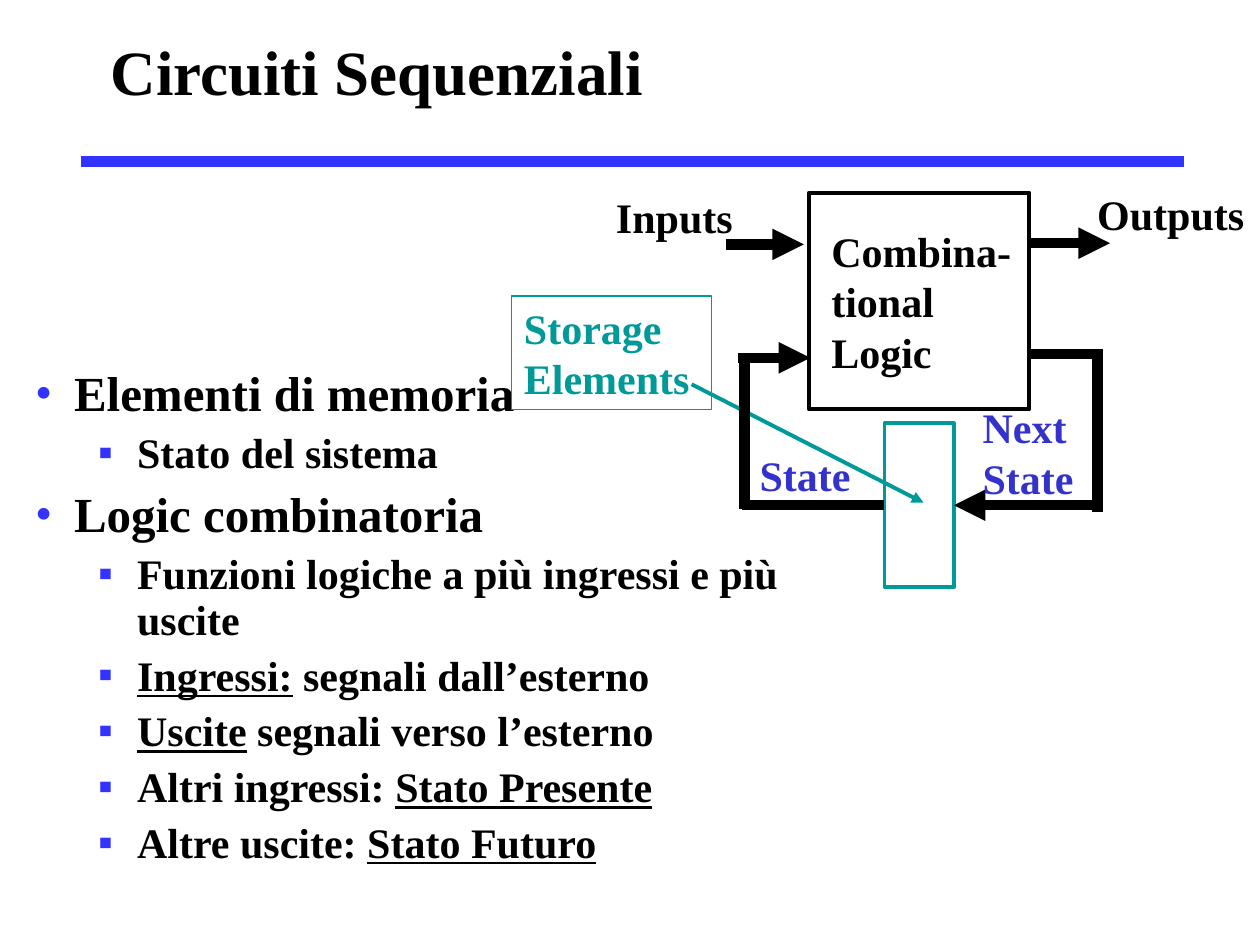
from dataclasses import dataclass
from typing import Optional

from lxml import etree
from pptx import Presentation
from pptx.dml.color import RGBColor
from pptx.enum.shapes import MSO_CONNECTOR, MSO_SHAPE
from pptx.enum.text import MSO_ANCHOR
from pptx.oxml.ns import qn
from pptx.util import Inches, Pt

STRAIGHT = MSO_CONNECTOR.STRAIGHT
RECTANGLE = MSO_SHAPE.RECTANGLE
MIDDLE = MSO_ANCHOR.MIDDLE
LEFT_SIDE, RIGHT_SIDE = 1, 3
FONT = "Times New Roman"
BLACK, BLUE, TEAL, INDIGO = "000000", "3333FF", "009999", "3333CC"
SIGNAL_WIDTH = 6


@dataclass
class Label:
    box: tuple[float, float, float, float]
    lines: list[str]
    color: str = BLACK
    size: float = 24


@dataclass
class Wire:
    start: tuple[float, float]
    end: tuple[float, float]
    arrow: bool = False
    color: str = BLACK
    width: float = SIGNAL_WIDTH


@dataclass
class Level:
    size: float
    indent: float
    space: float
    bullet: str


LEVELS = [Level(28, 0.81, 7, "•"), Level(24, 1.31, 6, "▪")]
HANGING = 0.31

BULLETS = [
    (0, [("Elementi di memoria", False)]),
    (1, [("Stato del sistema", False)]),
    (0, [("Logic combinatoria", False)]),
    (1, [("Funzioni logiche a più ingressi e più uscite", False)]),
    (1, [("Ingressi:", True), (" segnali dall’esterno", False)]),
    (1, [("Uscite", True), (" segnali verso l’esterno", False)]),
    (1, [("Altri ingressi: ", False), ("Stato Presente", True)]),
    (1, [("Altre uscite: ", False), ("Stato Futuro", True)]),
]

TITLE = Label((0.78, 0, 8.5, 1.12), ["Circuiti Sequenziali"], size=36)
LOGIC = Label((6.5, 1.74, 1.63, 1.3), ["Combina-tional", "Logic"])
STORAGE = Label((4.06, 2.35, 1.59, 0.9), ["Storage Elements"], TEAL)
SIGNAL_LABELS = [
    Label((4.79, 1.47, 1.15, 0.5), ["Inputs"]),
    Label((8.61, 1.45, 1.39, 0.5), ["Outputs"]),
    Label((5.93, 3.52, 0.94, 0.5), ["State"], INDIGO),
    Label((7.7, 3.14, 1.11, 0.9), ["Next", "State"], INDIGO),
]

TITLE_RULE = Wire((0.64, 1.28), (9.4, 1.28), color=BLUE)
STORAGE_POINTER = Wire((5.49, 3.05), (7.33, 3.99), True, TEAL, 2.25)
SIGNAL_WIRES = [
    Wire((5.76, 1.94), (6.38, 1.94), True),
    Wire((8.18, 1.93), (8.81, 1.93), True),
    Wire((5.86, 2.84), (6.43, 2.84), True),
    Wire((5.91, 2.81), (5.91, 4.04), False),
    Wire((8.18, 2.81), (8.75, 2.81), False),
    Wire((8.71, 2.82), (8.71, 4.06), False),
]
STATE_WIRE = Wire((5.89, 4.01), (7.02, 4.01))
NEXT_STATE_WIRE = Wire((8.67, 4.01), (7.57, 4.01), True)


def rgb(color: str) -> RGBColor:
    """Turn a hex string into a colour."""
    return RGBColor.from_string(color)


def style_font(font, size: float, color: str) -> None:
    """Apply the slide's bold serif face."""
    font.name, font.size, font.bold = FONT, Pt(size), True
    font.color.rgb = rgb(color)


def add_wire(slide, wire: Wire):
    """Draw a straight line, with an arrowhead at its end if asked."""
    points = [Inches(value) for value in (*wire.start, *wire.end)]
    connector = slide.shapes.add_connector(STRAIGHT, *points)
    connector.line.width = Pt(wire.width)
    connector.line.color.rgb = rgb(wire.color)
    if wire.arrow:
        line = connector.line._get_or_add_ln()
        etree.SubElement(line, qn("a:tailEnd"), type="triangle")
    etree.SubElement(connector._element.spPr, qn("a:effectLst"))
    return connector


def add_outline(slide, box: tuple[float, float, float, float], color: str, width: float):
    """Draw an unfilled rectangle."""
    shape = slide.shapes.add_shape(RECTANGLE, *map(Inches, box))
    shape.shadow.inherit = False
    shape.fill.background()
    shape.line.color.rgb = rgb(color)
    shape.line.width = Pt(width)
    return shape


def add_label(slide, label: Label, anchor: Optional[MSO_ANCHOR] = None) -> None:
    """Write the lines of a label in a text box."""
    frame = slide.shapes.add_textbox(*map(Inches, label.box)).text_frame
    frame.word_wrap = True
    if anchor is not None:
        frame.vertical_anchor = anchor
    frame.text = "\n".join(label.lines)
    for paragraph in frame.paragraphs:
        style_font(paragraph.font, label.size, label.color)


def add_bullets(slide) -> None:
    """Write the two-level bullet list."""
    frame = slide.shapes.add_textbox(
        Inches(-0.32), Inches(2.88), Inches(6.69), Inches(4.22)
    ).text_frame
    frame.word_wrap = True
    for index, (depth, pieces) in enumerate(BULLETS):
        level = LEVELS[depth]
        paragraph = frame.add_paragraph() if index else frame.paragraphs[0]
        paragraph.level = depth
        paragraph.line_spacing = 0.9
        if index:
            paragraph.space_before = Pt(level.space)
        properties = paragraph._p.get_or_add_pPr()
        properties.set("marL", str(Inches(level.indent)))
        properties.set("indent", str(-Inches(HANGING)))
        bullet_color = etree.SubElement(properties, qn("a:buClr"))
        etree.SubElement(bullet_color, qn("a:srgbClr"), val=BLUE)
        etree.SubElement(properties, qn("a:buFont"), typeface=FONT)
        etree.SubElement(properties, qn("a:buChar"), char=level.bullet)
        style_font(paragraph.font, level.size, BLACK)
        for text, underlined in pieces:
            run = paragraph.add_run()
            run.text = text
            if underlined:
                run.font.underline = True


def main() -> None:
    """Build and save the slide."""
    presentation = Presentation()
    presentation.slide_width, presentation.slide_height = Inches(10), Inches(7.5)
    slide = presentation.slides.add_slide(presentation.slide_layouts[6])

    add_wire(slide, TITLE_RULE)
    add_label(slide, TITLE, MIDDLE)
    add_bullets(slide)

    add_outline(slide, (6.42, 1.53, 1.75, 1.72), BLACK, 2.25)
    add_label(slide, LOGIC)
    register = add_outline(slide, (7.02, 3.36, 0.55, 1.3), TEAL, 2.25)
    add_outline(slide, STORAGE.box, TEAL, 0.75)
    add_label(slide, STORAGE)
    add_wire(slide, STORAGE_POINTER)

    for wire in SIGNAL_WIRES:
        add_wire(slide, wire)
    add_wire(slide, STATE_WIRE).end_connect(register, LEFT_SIDE)
    add_wire(slide, NEXT_STATE_WIRE).end_connect(register, RIGHT_SIDE)
    for label in SIGNAL_LABELS:
        add_label(slide, label)

    presentation.save("out.pptx")


if __name__ == "__main__":
    main()
